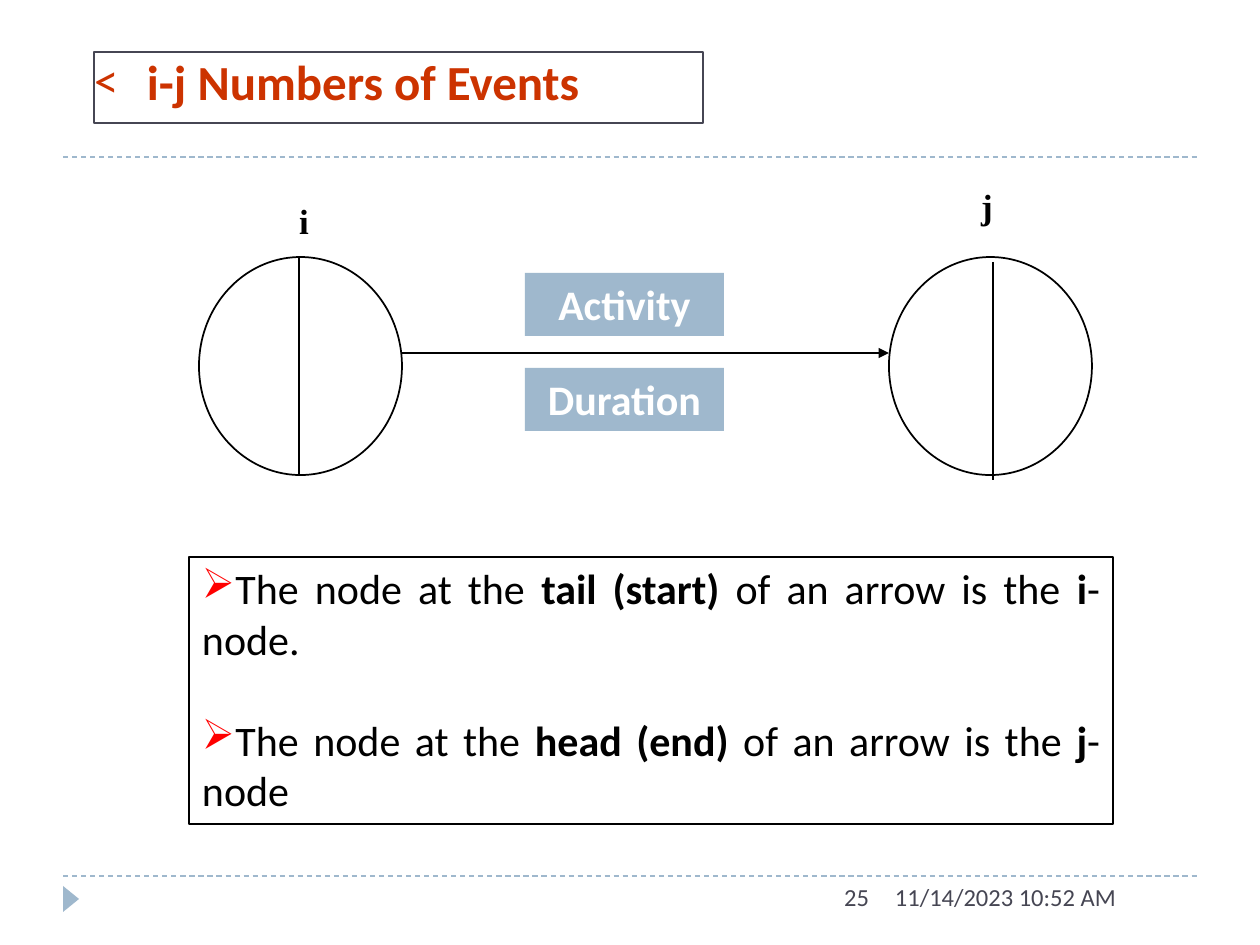
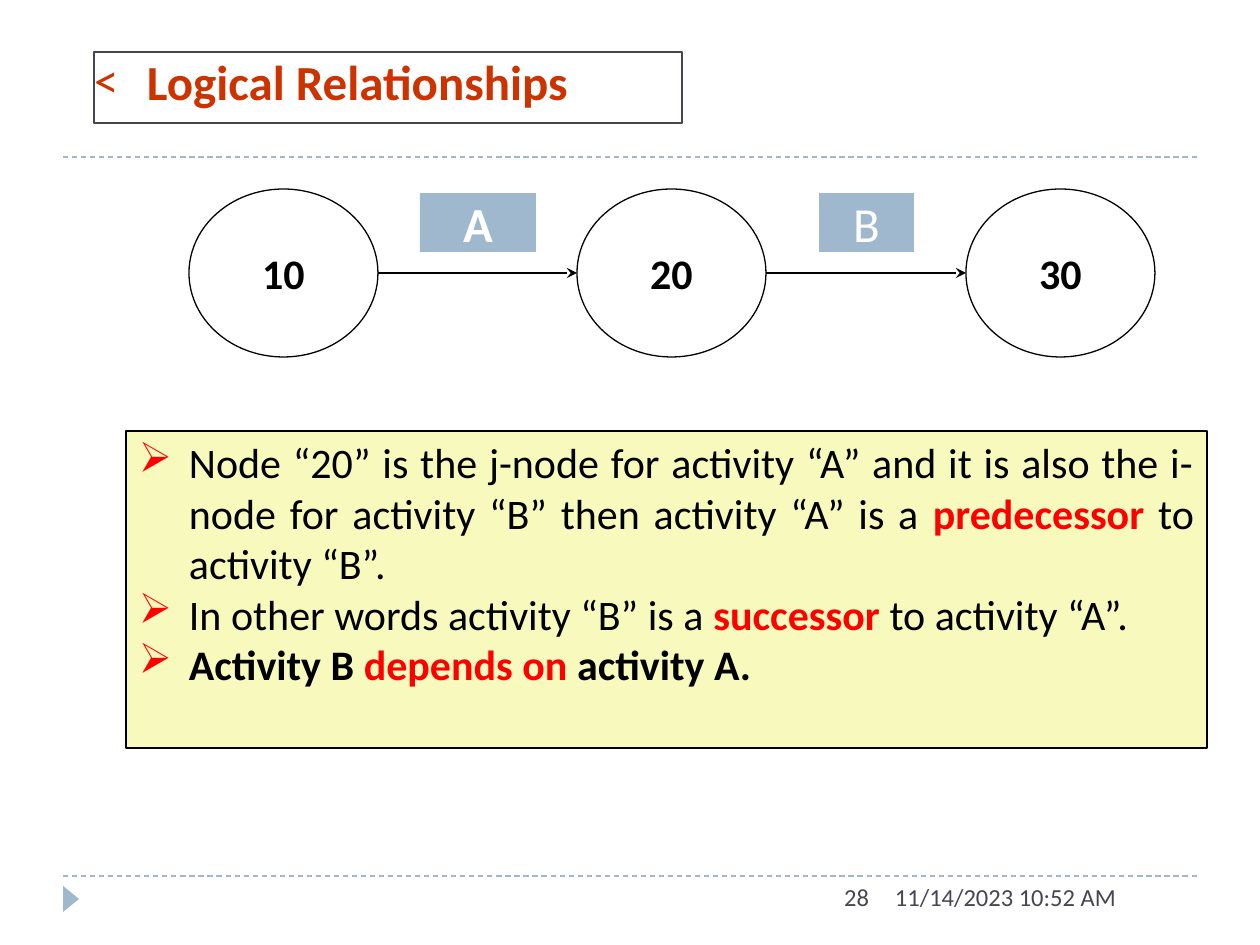
from dataclasses import dataclass

from lxml import etree
from pptx import Presentation
from pptx.dml.color import RGBColor
from pptx.enum.dml import MSO_LINE
from pptx.enum.shapes import MSO_CONNECTOR, MSO_SHAPE
from pptx.enum.text import MSO_ANCHOR, PP_ALIGN
from pptx.oxml.ns import qn
from pptx.util import Emu, Pt

RECT, OVAL, WEDGE = MSO_SHAPE.RECTANGLE, MSO_SHAPE.OVAL, MSO_SHAPE.ISOSCELES_TRIANGLE
LEFT, RIGHT = PP_ALIGN.LEFT, PP_ALIGN.RIGHT
CENTER, JUSTIFY = PP_ALIGN.CENTER, PP_ALIGN.JUSTIFY
TOP, MIDDLE = MSO_ANCHOR.TOP, MSO_ANCHOR.MIDDLE
DASH, STRAIGHT = MSO_LINE.DASH, MSO_CONNECTOR.STRAIGHT
SCALE = 914400 / 126
PAD, FLUSH = (13, 6), (0, 0)


@dataclass(frozen=True)
class Theme:
    white: str = "FFFFFF"
    black: str = "000000"
    slate: str = "464653"
    blue: str = "9FB8CD"
    rust: str = "CC3300"
    red: str = "FF0000"
    cream: str = "F8F9BD"
    sans: str = "Calibri"
    serif: str = "Times New Roman"
    signs: str = "Wingdings"
    small: int = 14
    mark: int = 20
    body: int = 24
    head: int = 28


THEME = Theme()


def px(n):
    return Emu(round(n * SCALE))


def rgb(code):
    return RGBColor.from_string(code)


def apply(item, values):
    for name, value in values.items():
        setattr(item, name, value)


def fonts(size, color=THEME.black, bold=False, name=THEME.sans):
    return {"size": Pt(size), "color": color, "bold": bold, "name": name}


def bullet(para, char, face, color, margin, indent):
    props = para._p.get_or_add_pPr()
    props.set("marL", str(px(margin)))
    props.set("indent", str(px(indent)))
    tint = etree.SubElement(props, qn("a:buClr"))
    etree.SubElement(tint, qn("a:srgbClr"), val=color)
    font = etree.SubElement(props, qn("a:buFont"), typeface=face)
    if face == THEME.signs:
        font.set("charset", "2")
    etree.SubElement(props, qn("a:buChar"), char=char)


def add_runs(para, runs, base):
    for text, extra in runs:
        run = para.add_run()
        run.text = text
        look = {**base, **extra}
        run.font.color.rgb = rgb(look.pop("color"))
        apply(run.font, look)


def write(shape, paras, base, align=CENTER, pad=PAD, anchor=TOP, gap=0, mark=None):
    frame = shape.text_frame
    side, edge = map(px, pad)
    apply(frame, {"word_wrap": True, "vertical_anchor": anchor,
                  "margin_left": side, "margin_right": side,
                  "margin_top": edge, "margin_bottom": edge})
    for i, runs in enumerate(paras):
        para = frame.add_paragraph() if i else frame.paragraphs[0]
        para.alignment = align
        if i and gap:
            para.space_before = Pt(gap)
        if mark:
            bullet(para, *mark)
        add_runs(para, runs, base)


def add_form(slide, kind, box, fill, line=None, width=0.75):
    shape = slide.shapes.add_shape(kind, *map(px, box))
    shape.shadow.inherit = False
    shape.fill.solid()
    shape.fill.fore_color.rgb = rgb(fill)
    if line:
        shape.line.color.rgb = rgb(line)
        shape.line.width = Pt(width)
    else:
        shape.line.fill.background()
    return shape


def add_line(slide, start, end, color=THEME.black, width=0.75, dash=None, tip=None):
    line = slide.shapes.add_connector(STRAIGHT, *map(px, (*start, *end)))
    line.line.color.rgb = rgb(color)
    apply(line.line, {"width": Pt(width), "dash_style": dash})
    if tip:
        etree.SubElement(line.line._get_or_add_ln(), qn("a:tailEnd"), type=tip)
    etree.SubElement(line._element.spPr, qn("a:effectLst"))


def add_text(slide, box, text, base, align=LEFT):
    shape = slide.shapes.add_textbox(*map(px, box))
    write(shape, [[(text, {})]], base, align)


def add_tag(slide, box, text, size, bold=True, pad=PAD):
    shape = add_form(slide, RECT, box, THEME.blue)
    write(shape, [[(text, {})]], fonts(size, THEME.white, bold), pad=pad)


def add_note(slide, box, fill, paras, margin, indent, gap=0):
    shape = add_form(slide, RECT, box, fill, THEME.black)
    write(shape, paras, fonts(THEME.body), JUSTIFY, gap=gap,
          mark=("Ø", THEME.signs, THEME.red, margin, indent))


def add_page(deck, title, width, number):
    slide = deck.slides.add_slide(deck.slide_layouts[6])
    for y in (876, 157):
        add_line(slide, (63, y), (1197, y), THEME.blue, dash=DASH)
    add_form(slide, WEDGE, (58, 891, 26, 16), THEME.blue).rotation = 90
    small = fonts(THEME.small, THEME.slate)
    add_text(slide, (882, 876, 315, 50), "11/14/2023 10:52 AM", small)
    add_text(slide, (399, 876, 483, 50), number, small, RIGHT)
    head = add_form(slide, RECT, (94, 52, width, 71), THEME.white, THEME.slate)
    write(head, [[(title, {})]], fonts(THEME.head, THEME.rust, True), LEFT,
          FLUSH, mark=("<", THEME.sans, THEME.rust, 53, -53))
    return slide


def draw_events(deck):
    slide = add_page(deck, "i-j Numbers of Events", 609, "25")
    bold = {"bold": True}
    paras = [[("The node at the ", {}), (part, bold),
              (" of an arrow is the ", {}), (node, bold), (rest, {})]
             for part, node, rest in (("tail (start)", "i", "-node."),
                                      ("head (end)", "j", "-node"))]
    add_note(slide, (189, 557, 924, 267), THEME.white, paras, 0, -21, gap=29)
    add_line(slide, (402, 353), (889, 353), width=1, tip="triangle")
    for x, mid, top in ((199, 299, 257), (889, 993, 262)):
        add_form(slide, OVAL, (x, 257, 203, 218), THEME.white, THEME.black, 1)
        add_line(slide, (mid, top), (mid, top + 218))
    mark = fonts(THEME.mark, bold=True, name=THEME.serif)
    add_text(slide, (261, 193, 86, 59), "i", mark, CENTER)
    add_text(slide, (945, 179, 84, 73), "j", mark, CENTER)
    for y, text in ((273, "Activity"), (368, "Duration")):
        add_tag(slide, (525, y, 199, 63), text, THEME.body)


def draw_logic(deck):
    slide = add_page(deck, "Logical Relationships", 588, "28")
    size = 189
    spots = [189 + 777 * i // 2 for i in range(3)]
    for x, text in zip(spots, ("10", "20", "30")):
        node = add_form(slide, OVAL, (x, 189, size, 168), THEME.white, THEME.black)
        write(node, [[(text, {})]], fonts(THEME.body, bold=True),
              pad=FLUSH, anchor=MIDDLE)
    for x, end in zip(spots, spots[1:]):
        add_line(slide, (x + size, 273), (end, 273), width=1.5, tip="stealth")
    for x, width, text, bold in ((420, 116, "A", True), (819, 95, "B", False)):
        add_tag(slide, (x, 193, width, 59), text, THEME.head, bold, FLUSH)
    bold = {"bold": True}
    key = {"bold": True, "color": THEME.red}
    paras = [
        [("Node “20” is the j-node for activity “A” and it is also the i-node "
          "for activity “B” then activity “A” is a ", {}),
         ("predecessor", key), (" to activity “B”.", {})],
        [("In other words activity “B” is a ", {}),
         ("successor", key), (" to activity “A”.", {})],
        [("Activity B ", bold), ("depends on ", key), ("activity A.", bold)],
    ]
    add_note(slide, (126, 431, 1081, 317), THEME.cream, paras, 50, -50)


def main():
    deck = Presentation()
    apply(deck, {"slide_width": px(1260), "slide_height": px(945)})
    draw_events(deck)
    draw_logic(deck)
    deck.save("out.pptx")


if __name__ == "__main__":
    main()
